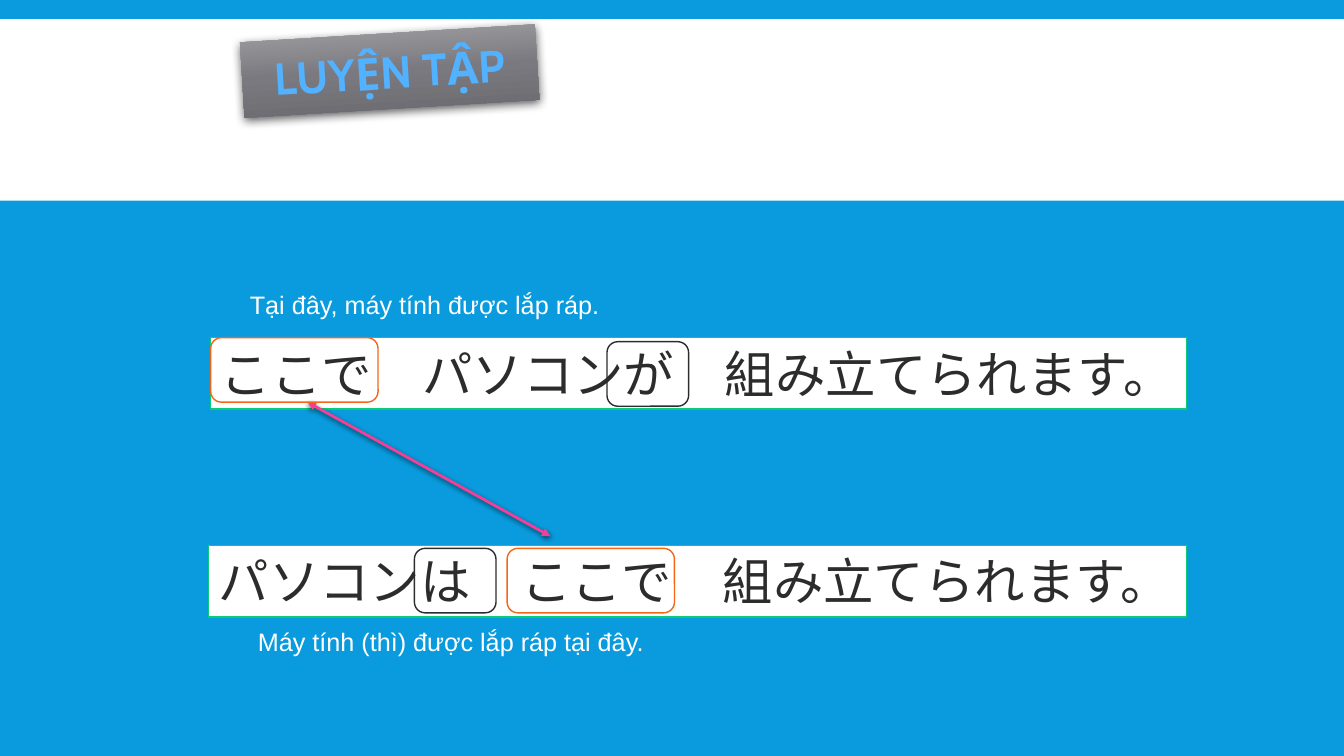
import pptx
import pptx.util
import pptx.oxml
import pptx.dml.color
import pptx.enum.text
import pptx.enum.shapes
from lxml import etree

TITLE = ("LUYỆN TẬP", (2.4, 0.33, 2.93, 0.75), 356.5)
BAND = (0, 0.19, 13.33, 1.8)
PHRASES = [
    ("ここで　パソコンが　組み立てられます。", (2.09, 3.35, 9.68, 0.71)),
    ("パソコンは　ここで　組み立てられます。", (2.07, 5.41, 9.7, 0.71)),
]
GLOSSES = [
    ("Tại đây, máy tính được lắp ráp.", (2.38, 2.82)),
    ("Máy tính (thì) được lắp ráp tại đây.", (2.46, 6.16)),
]
MARKS = [
    ("F56617", 1.66, [(2.09, 3.35), (5.03, 5.44)]),
    ("2C2C2C", 0.81, [(6.02, 3.39), (4.11, 5.44)]),
]
ARROW = (3.05, 3.99, 5.46, 5.32)
STOPS = [(0, "A1A1A5"), (50, "79797F"), (100, "68686D")]
NS = 'xmlns:a="http://schemas.openxmlformats.org/drawingml/2006/main"'

Inches = pptx.util.Inches
Pt = pptx.util.Pt
KIND = pptx.enum.shapes.MSO_SHAPE
ALIGN = pptx.enum.text.PP_ALIGN
FIT = pptx.enum.text.MSO_AUTO_SIZE


def color(code):
    return pptx.dml.color.RGBColor.from_string(code)


def xml(text):
    return pptx.oxml.parse_xml(text)


def shadow(alpha, blur, dist):
    return xml(
        f'<a:effectLst {NS}><a:outerShdw blurRad="{Pt(blur)}" dist="{Pt(dist)}" '
        f'dir="5400000" algn="ctr" rotWithShape="0"><a:srgbClr val="000000">'
        f'<a:alpha val="{alpha * 1000}"/></a:srgbClr></a:outerShdw></a:effectLst>')


def write(shape, text, size, font, code, align=ALIGN.LEFT, bold=False):
    para = shape.text_frame.paragraphs[0]
    para.alignment = align
    run = para.add_run()
    run.text = text
    run.font.size = Pt(size)
    run.font.name = font
    run.font.bold = bold
    run.font.color.rgb = color(code)


def grow(shape):
    frame = shape.text_frame
    frame.word_wrap = True
    frame.auto_size = FIT.SHAPE_TO_FIT_TEXT
    frame.vertical_anchor = pptx.enum.text.MSO_ANCHOR.TOP


def box(slide, kind, area, fill=None, line=None):
    shape = slide.shapes.add_shape(kind, *map(Inches, area))
    shape.shadow.inherit = False
    if fill:
        shape.fill.solid()
        shape.fill.fore_color.rgb = color(fill)
    else:
        shape.fill.background()
    if line:
        shape.line.color.rgb = color(line)
        shape.line.width = Pt(1)
    else:
        shape.line.fill.background()
    return shape


def head(slide):
    text, area, turn = TITLE
    title = slide.shapes.title
    title.left, title.top, title.width, title.height = map(Inches, area)
    title.rotation = turn
    props = title._element.spPr
    props.append(xml(f'<a:prstGeom {NS} prst="roundRect"><a:avLst/></a:prstGeom>'))
    stops = "".join(
        f'<a:gs pos="{pos * 1000}"><a:srgbClr val="{code}"/></a:gs>'
        for pos, code in STOPS)
    props.append(xml(
        f'<a:gradFill {NS} rotWithShape="1"><a:gsLst>{stops}</a:gsLst>'
        f'<a:lin ang="5400000" scaled="0"/></a:gradFill>'))
    props.append(shadow(63, 7, 2.2))
    title.text_frame.auto_size = FIT.NONE
    title.text_frame.vertical_anchor = pptx.enum.text.MSO_ANCHOR.MIDDLE
    write(title, text, 32, "Cabin", "53B2FF", ALIGN.CENTER, True)
    slide.shapes._spTree.append(title._element)


def arrow(slide):
    link = slide.shapes.add_connector(
        pptx.enum.shapes.MSO_CONNECTOR.STRAIGHT, *map(Inches, ARROW))
    link.line.color.rgb = color("F24099")
    link.line.width = Pt(2)
    line = link.line._get_or_add_ln()
    for end in ("headEnd", "tailEnd"):
        line.append(xml(f'<a:{end} {NS} type="triangle"/>'))
    link._element.spPr.append(shadow(68, 4, 1.2))


def main():
    deck = pptx.Presentation()
    deck.slide_width = Inches(13.33)
    deck.slide_height = Inches(7.5)
    slide = deck.slides.add_slide(deck.slide_layouts[5])
    slide.background.fill.solid()
    slide.background.fill.fore_color.rgb = color("099BDD")

    box(slide, KIND.RECTANGLE, BAND, "FFFFFF")
    head(slide)
    for text, area in PHRASES:
        shape = box(slide, KIND.RECTANGLE, area, "FFFFFF", "08CC78")
        grow(shape)
        write(shape, text, 36, "Arial", "2C2C2C")
    for text, spot in GLOSSES:
        label = slide.shapes.add_textbox(*map(Inches, (*spot, 5.36, 0.4)))
        grow(label)
        write(label, text, 18, "Arial", "FFFFFF")
    arrow(slide)
    for code, width, spots in MARKS:
        for spot in spots:
            box(slide, KIND.ROUNDED_RECTANGLE, (*spot, width, 0.64), line=code)
    deck.save("out.pptx")


if __name__ == "__main__":
    main()
